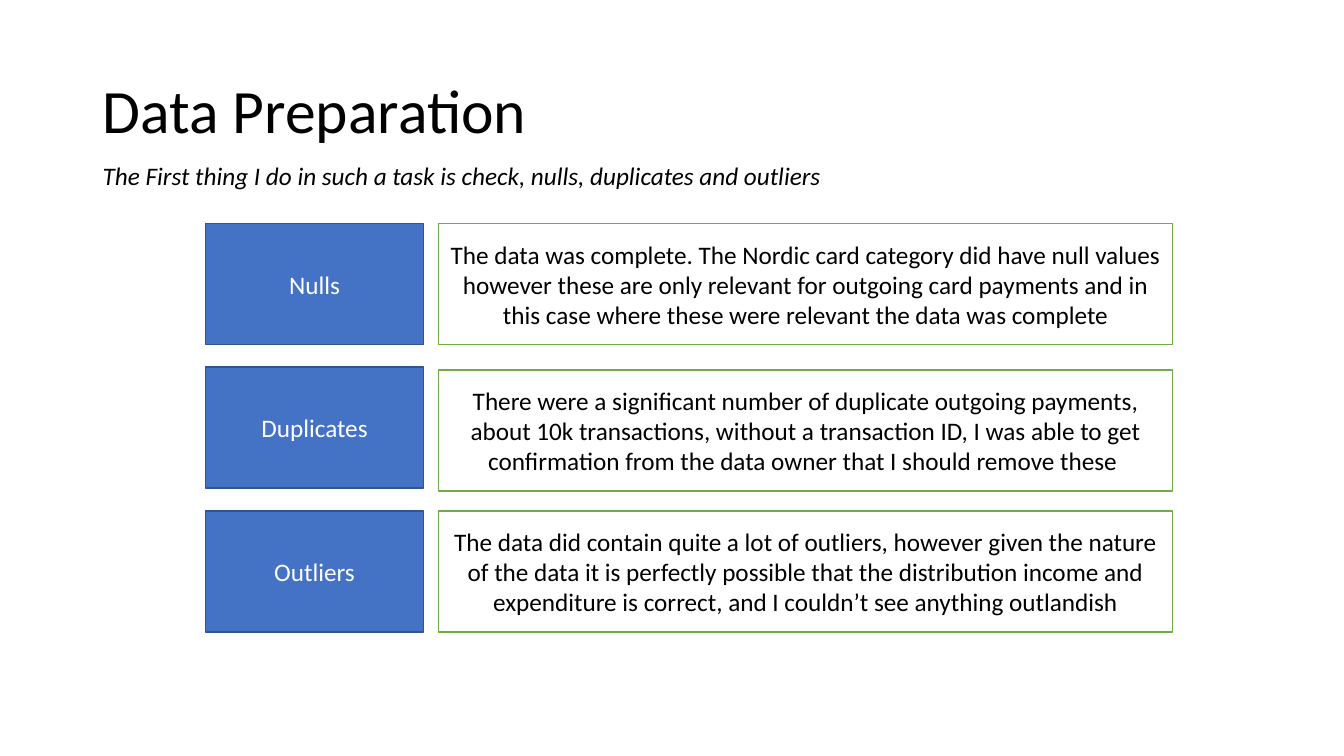
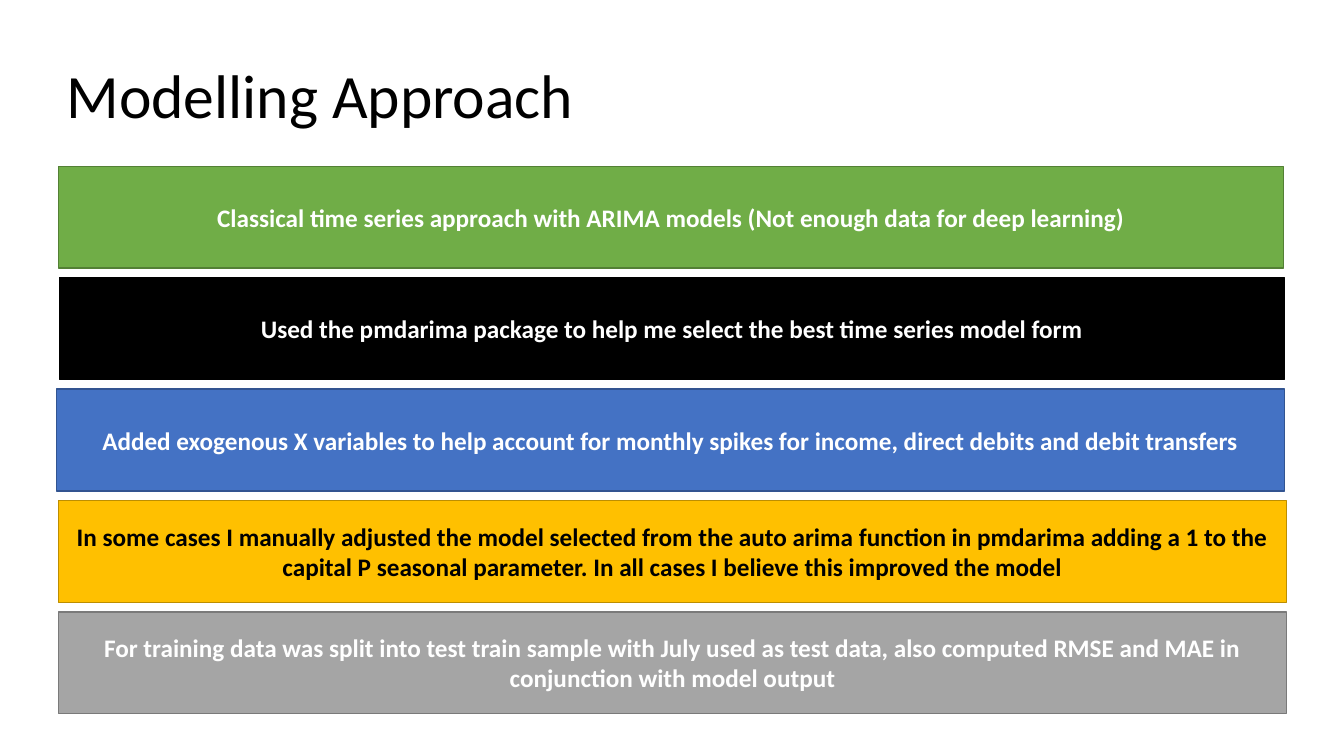
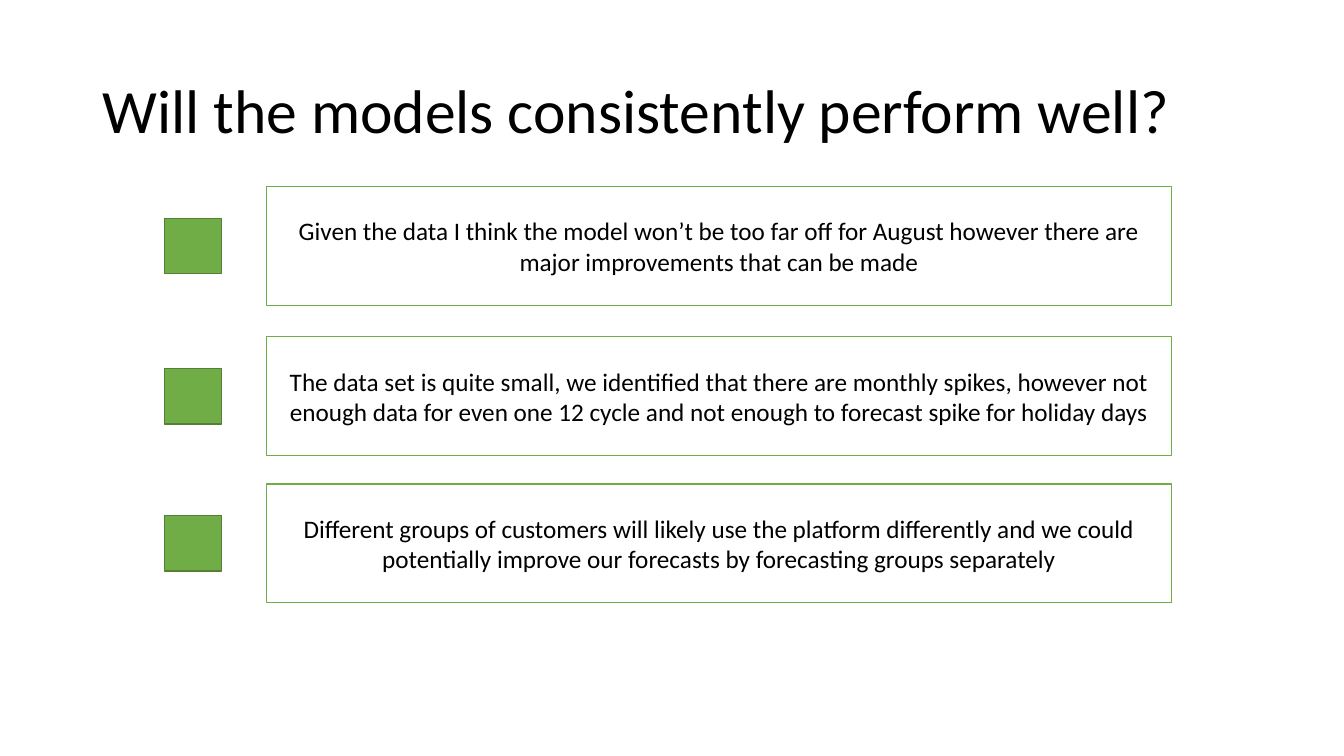
import pptx
import pptx.util
import pptx.dml.color
import pptx.enum.shapes
import pptx.enum.text

Inches = pptx.util.Inches
ALIGN = pptx.enum.text.PP_ALIGN

# Shared look
FONT = "Calibri"
BLACK, WHITE = "000000", "FFFFFF"
BLUE = ("4472C4", "325491")  # fill, line
GREEN = ("70AD47", "538035")
GOLD = ("FFC000", "BD8E00")
GREY = ("A5A5A5", "7A7A7A")
SOLID_BLACK = (BLACK, BLACK)
OUTLINED = (WHITE, GREEN[0])
TITLE_BOX = (0.92, 0.4, 11.5, 1.45)


def color(value):
    return pptx.dml.color.RGBColor.from_string(value)


def write(shape, text, ink=BLACK, align=ALIGN.CENTER, size=18, spacing=1.0, **formats):
    tf = shape.text_frame
    tf.word_wrap = True
    tf.vertical_anchor = pptx.enum.text.MSO_ANCHOR.MIDDLE
    p = tf.paragraphs[0]
    p.alignment, p.line_spacing = align, spacing
    r = p.add_run()
    r.text = text
    formats.update(name=FONT, size=pptx.util.Pt(size))
    for key, value in formats.items():
        setattr(r.font, key, value)
    r.font.color.rgb = color(ink)


def add_title(s, text, box=TITLE_BOX):
    write(s.shapes.add_textbox(*map(Inches, box)), text,
          align=ALIGN.LEFT, size=44, spacing=0.9)


def add_box(s, box, style, text="", **formats):
    fill, line = style
    sp = s.shapes.add_shape(pptx.enum.shapes.MSO_SHAPE.RECTANGLE, *map(Inches, box))
    sp.shadow.inherit = False
    sp.fill.solid()
    sp.fill.fore_color.rgb = color(fill)
    if line:
        sp.line.color.rgb = color(line)
        sp.line.width = pptx.util.Pt(1)
    else:
        sp.line.fill.background()
    if text:
        write(sp, text, **formats)


def add_labelled_rows(s, left, width, height, rows):
    """Blue label beside an outlined finding."""
    label_width, gap = 2.16, 0.15
    text_left = left + label_width + gap
    for label_top, text_top, label, text in rows:
        add_box(s, (left, label_top, label_width, height), BLUE, label, ink=WHITE)
        add_box(s, (text_left, text_top, left + width - text_left, height), OUTLINED, text)


def add_bands(s, top, height, pitch, bands):
    """Full-width coloured bands, stacked at an even pitch."""
    for i, (left, width, style, ink, text) in enumerate(bands):
        add_box(s, (left, top + i * pitch, width, height), style, text, ink=ink, bold=True)


def add_marked_rows(s, left, width, height, rows):
    """Green square centred beside an outlined statement."""
    mark_width, mark_height, indent = 0.57, 0.55, 1.01
    for top, text in rows:
        add_box(s, (left, top + (height - mark_height) / 2, mark_width, mark_height), GREEN)
        add_box(s, (left + indent, top, width - indent, height), OUTLINED, text)


def preparation_slide(s):
    add_title(s, "Data Preparation")
    add_box(s, (0.92, 1.51, 10.71, 0.46), (WHITE, None),
            "The First thing I do in such a task is check, nulls, duplicates and outliers",
            align=ALIGN.LEFT, italic=True)
    add_labelled_rows(s, 2.04, 9.59, 1.2, [
        (2.22, 2.22, "Nulls",
         "The data was complete. The Nordic card category did have null values however "
         "these are only relevant for outgoing card payments and in this case where these "
         "were relevant the data was complete"),
        (3.64, 3.67, "Duplicates",
         "There were a significant number of duplicate outgoing payments, about 10k "
         "transactions, without a transaction ID, I was able to get confirmation from the "
         "data owner that I should remove these "),
        (5.07, 5.07, "Outliers",
         "The data did contain quite a lot of outliers, however given the nature of the "
         "data it is perfectly possible that the distribution income and expenditure is "
         "correct, and I couldn’t see anything outlandish"),
    ])


def approach_slide(s):
    add_title(s, "Modelling Approach", (0.56, 0.4, 11.85, 1.16))
    add_bands(s, 1.65, 1.01, 1.105, [
        (0.58, 12.15, GREEN, WHITE,
         "Classical time series approach with ARIMA models "
         "(Not enough data for deep learning)"),
        (0.59, 12.15, SOLID_BLACK, WHITE,
         "Used the pmdarima package to help me select the best time series model form"),
        (0.56, 12.18, BLUE, WHITE,
         "Added exogenous X variables to help account for monthly spikes for income, "
         "direct debits and debit transfers"),
        (0.58, 12.18, GOLD, BLACK,
         "In some cases I manually adjusted the model selected from the auto arima "
         "function in pmdarima adding a 1 to the capital P seasonal parameter. In all "
         "cases I believe this improved the model"),
        (0.58, 12.18, GREY, WHITE,
         "For training data was split into test train sample with July used as test data, "
         "also computed RMSE and MAE in conjunction with model output"),
    ])


def outlook_slide(s):
    add_title(s, "Will the models consistently perform well?")
    add_marked_rows(s, 1.63, 9.99, 1.18, [
        (1.85, "Given the data I think the model won’t be too far off for August however "
               "there are major improvements that can be made"),
        (3.34, "The data set is quite small, we identified that there are monthly spikes, "
               "however not enough data for even one 12 cycle and not enough to forecast "
               "spike for holiday days"),
        (4.8, "Different groups of customers will likely use the platform differently and "
              "we could potentially improve our forecasts by forecasting groups separately"),
    ])


def main():
    prs = pptx.Presentation()
    prs.slide_width, prs.slide_height = Inches(13.33), Inches(7.5)
    for build in (preparation_slide, approach_slide, outlook_slide):
        build(prs.slides.add_slide(prs.slide_layouts[6]))
    prs.save("out.pptx")


if __name__ == "__main__":
    main()
